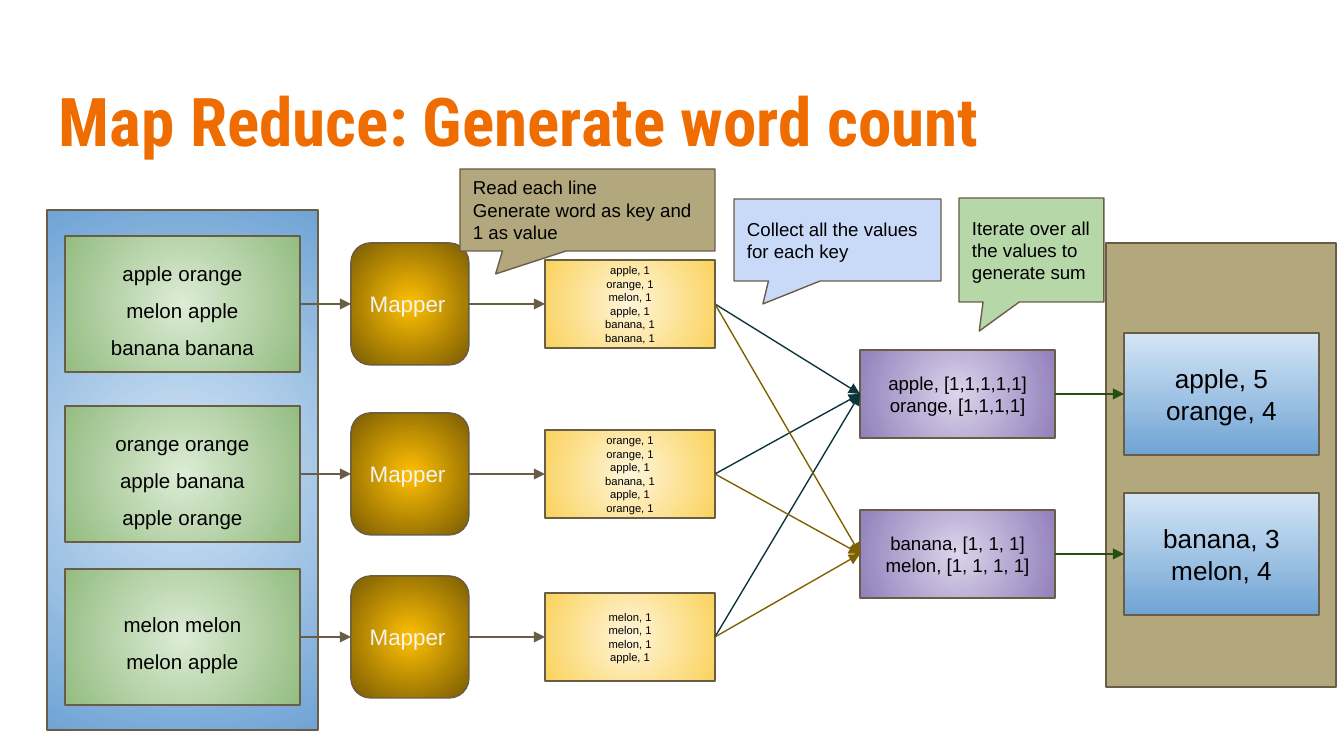
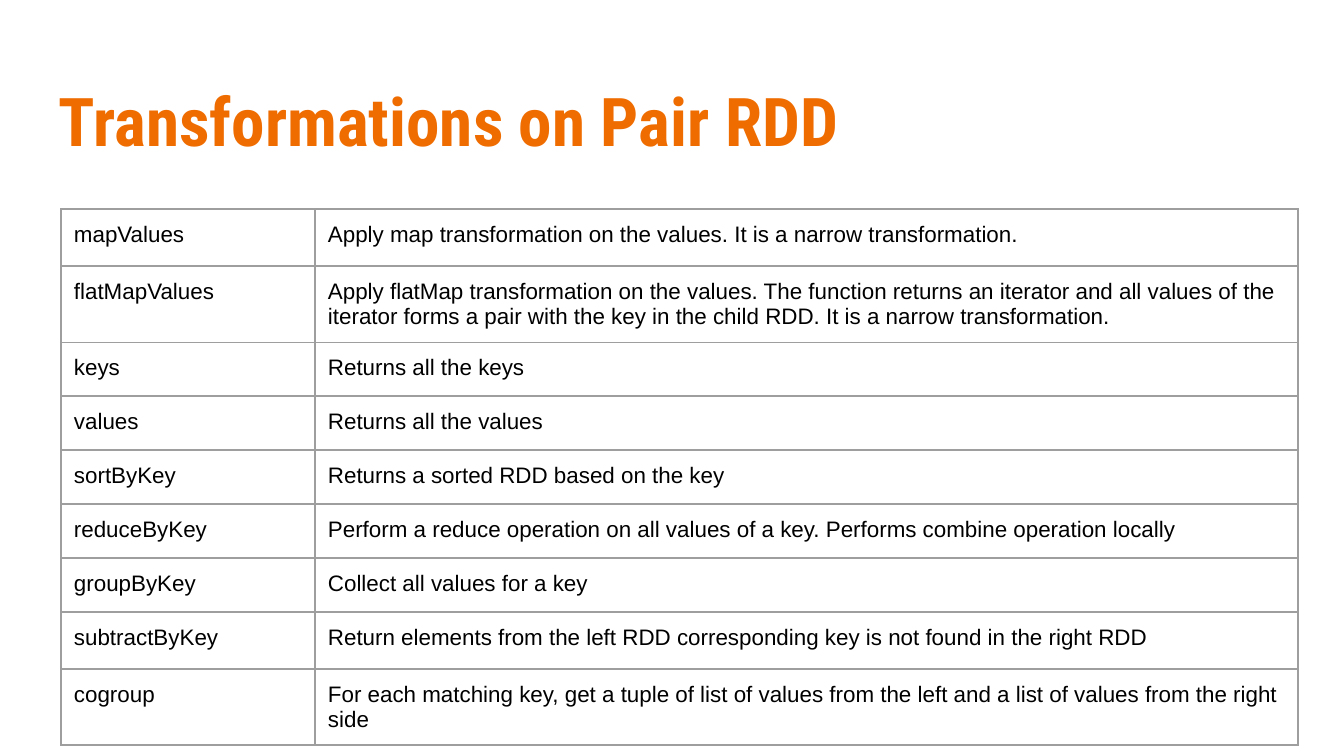
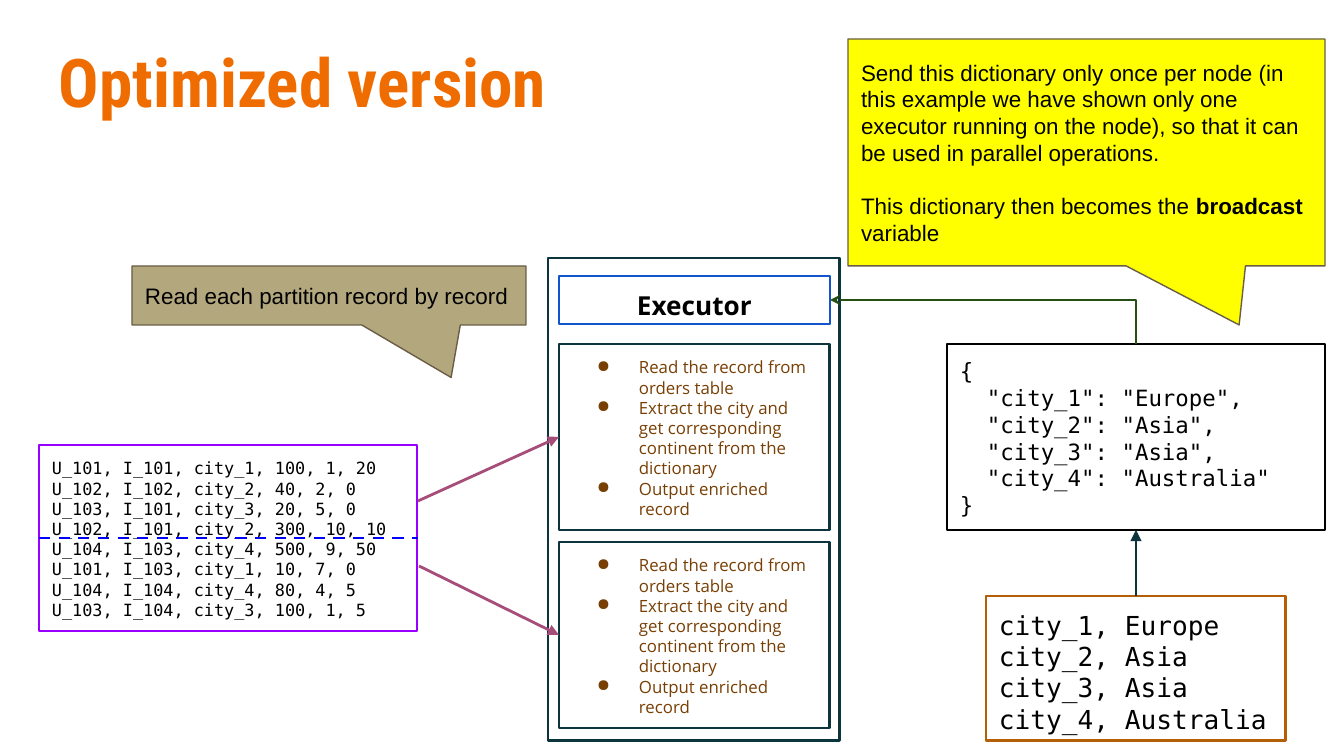
from dataclasses import dataclass, replace

from lxml import etree
from pptx import Presentation
from pptx.dml.color import RGBColor
from pptx.enum.dml import MSO_LINE
from pptx.enum.shapes import MSO_CONNECTOR, MSO_SHAPE
from pptx.enum.text import MSO_ANCHOR, MSO_AUTO_SIZE, PP_ALIGN
from pptx.oxml.ns import qn
from pptx.util import Emu, Pt

RECT = MSO_SHAPE.RECTANGLE
MAPPER = MSO_SHAPE.FLOWCHART_ALTERNATE_PROCESS
CALLOUT = MSO_SHAPE.RECTANGULAR_CALLOUT
STRAIGHT, ELBOW = MSO_CONNECTOR.STRAIGHT, MSO_CONNECTOR.ELBOW
DASH = MSO_LINE.DASH
LEFT, CENTER = PP_ALIGN.LEFT, PP_ALIGN.CENTER
TOP, MIDDLE = MSO_ANCHOR.TOP, MSO_ANCHOR.MIDDLE
NO_AUTOFIT = MSO_AUTO_SIZE.NONE
TOP_SIDE, LEFT_SIDE, BOTTOM_SIDE, RIGHT_SIDE = range(4)
TITLE_ONLY = 5
EMU_PER_PX = 914400 / 134.4
INSET = 13


@dataclass(frozen=True)
class Theme:
    orange: str = "EF6C00"
    black: str = "000000"
    pale: str = "F3F3F3"
    outline: str = "695D46"
    khaki: str = "B3A77D"
    ice: str = "C9DAF8"
    mint: str = "B6D7A8"
    yellow: str = "FFFF00"
    teal: str = "0C343D"
    olive: str = "7F6000"
    forest: str = "274E13"
    plum: str = "A64D79"
    violet: str = "9900FF"
    blue: str = "0000FF"
    royal: str = "1155CC"
    rust: str = "B45F06"
    brown: str = "783F04"
    grid: str = "9E9E9E"
    sky: tuple = ("D4E5F5", "70A4D5")
    leaf: tuple = ("DCECD5", "93BC81")
    gold: tuple = ("FFC002", "795B04")
    cream: tuple = ("FFF6DB", "FAD25C")
    lilac: tuple = ("DBD4EB", "9180BB")
    title_font: str = "Roboto Condensed"
    body_font: str = "Arial"
    code_font: str = "DejaVu Sans Mono"
    task_font: str = "Open Sans"
    title: int = 36
    large: int = 14
    body: int = 12
    line: int = 11
    note: int = 10
    small: int = 9
    tiny: int = 6
    thin: float = 0.75
    thick: float = 1.5


THEME = Theme()


@dataclass(frozen=True)
class TextStyle:
    size: int
    font: str = THEME.body_font
    color: str = THEME.black
    bold: bool = False
    align: PP_ALIGN = LEFT
    anchor: MSO_ANCHOR = MIDDLE
    spacing: float = 1.0
    gap: int = 0
    bullet: str = ""


TITLE = TextStyle(THEME.title, THEME.title_font, THEME.orange, bold=True, anchor=TOP)
NOTE = TextStyle(THEME.note)
BODY = TextStyle(THEME.body)
CODE = TextStyle(THEME.body, THEME.code_font, anchor=TOP)
TASK = TextStyle(THEME.small, THEME.task_font, THEME.brown, anchor=TOP, bullet="●")


def px(length):
    return Emu(round(length * EMU_PER_PX))


def rgb(color):
    return RGBColor.from_string(color)


def add_bullet(paragraph, style):
    properties = paragraph._p.get_or_add_pPr()
    properties.set("marL", str(px(67)))
    properties.set("indent", str(px(-42)))
    tint = etree.SubElement(properties, qn("a:buClr"))
    etree.SubElement(tint, qn("a:srgbClr"), val=style.color)
    etree.SubElement(properties, qn("a:buChar"), char=style.bullet)


def write(frame, paragraphs, style):
    for index, content in enumerate(paragraphs):
        paragraph = frame.add_paragraph() if index else frame.paragraphs[0]
        paragraph.alignment = style.align
        paragraph.line_spacing = style.spacing
        paragraph.space_before = Pt(style.gap if index else 0)
        if style.bullet:
            add_bullet(paragraph, style)
        runs = [(content, style.bold)] if isinstance(content, str) else content
        for text, bold in runs:
            run = paragraph.add_run()
            run.text = text
            run.font.name = style.font
            run.font.size = Pt(style.size)
            run.font.bold = bold
            run.font.color.rgb = rgb(style.color)


def set_frame(frame, style):
    frame.word_wrap = True
    frame.auto_size = NO_AUTOFIT
    frame.vertical_anchor = style.anchor
    frame.margin_left = frame.margin_right = px(INSET)
    frame.margin_top = frame.margin_bottom = px(INSET)


def paint(shape, fill, radial):
    if fill is None:
        shape.fill.background()
    elif isinstance(fill, str):
        shape.fill.solid()
        shape.fill.fore_color.rgb = rgb(fill)
    else:
        shape.fill.gradient()
        shape.fill.gradient_angle = 270
        for stop, color in zip(shape.fill.gradient_stops, fill):
            stop.color.rgb = rgb(color)
        if radial:
            gradient = shape.element.spPr.find(qn("a:gradFill"))
            linear = gradient.find(qn("a:lin"))
            circle = etree.Element(qn("a:path"), path="circle")
            etree.SubElement(circle, qn("a:fillToRect"), l="50000", t="50000", r="50000", b="50000")
            gradient.replace(linear, circle)


def add_box(slide, area, paragraphs=(), style=BODY, fill=None, line=THEME.outline,
            weight=THEME.thin, kind=RECT, radial=True):
    box = slide.shapes.add_shape(kind, *map(px, area))
    box.shadow.inherit = False
    paint(box, fill, radial)
    box.line.color.rgb = rgb(line)
    box.line.width = Pt(weight)
    set_frame(box.text_frame, style)
    write(box.text_frame, paragraphs, style)
    return box


def add_callout(slide, area, paragraphs, style, fill, pointer):
    callout = add_box(slide, area, paragraphs, style, fill, kind=CALLOUT)
    for index, offset in enumerate(pointer):
        callout.adjustments[index] = offset


def add_line(slide, start, end, color, weight=THEME.thin, kind=STRAIGHT,
             head=None, tail=None, dash=None):
    points = [place if isinstance(place[0], int) else (0, 0) for place in (start, end)]
    connector = slide.shapes.add_connector(kind, *(px(value) for point in points for value in point))
    if not isinstance(start[0], int):
        connector.begin_connect(*start)
    if not isinstance(end[0], int):
        connector.end_connect(*end)
    connector.line.color.rgb = rgb(color)
    connector.line.width = Pt(weight)
    if dash:
        connector.line.dash_style = dash
    properties = connector.element.spPr
    if kind == ELBOW:
        properties.find(qn("a:prstGeom")).set("prst", "bentConnector2")
    stroke = properties.find(qn("a:ln"))
    for tag, arrow in (("a:headEnd", head), ("a:tailEnd", tail)):
        if arrow:
            etree.SubElement(stroke, qn(tag), type=arrow)
    etree.SubElement(properties, qn("a:effectLst"))


def add_arrow(slide, source, target, color, weight=THEME.thin):
    add_line(slide, (source, RIGHT_SIDE), (target, LEFT_SIDE), color, weight, tail="triangle")


def add_cell_borders(cell):
    properties = cell._tc.get_or_add_tcPr()
    for index, side in enumerate(("a:lnL", "a:lnR", "a:lnT", "a:lnB")):
        border = etree.Element(qn(side), w=str(Pt(THEME.thin)))
        solid = etree.SubElement(border, qn("a:solidFill"))
        etree.SubElement(solid, qn("a:srgbClr"), val=THEME.grid)
        properties.insert(index, border)


def add_grid(slide, left, top, widths, heights, rows):
    area = (left, top, sum(widths), sum(heights))
    table = slide.shapes.add_table(len(rows), len(widths), *map(px, area)).table
    table.first_row = table.horz_banding = False
    for column, width in zip(table.columns, widths):
        column.width = px(width)
    for row, height, texts in zip(table.rows, heights, rows):
        row.height = px(height)
        for cell, text in zip(row.cells, texts):
            cell.fill.background()
            cell.margin_left = cell.margin_right = px(INSET)
            cell.margin_top = cell.margin_bottom = px(INSET)
            write(cell.text_frame, [text], BODY)
            add_cell_borders(cell)


def add_titled_slide(deck, title, top=66):
    slide = deck.slides.add_slide(deck.slide_layouts[TITLE_ONLY])
    heading = slide.shapes.title
    heading.left, heading.top, heading.width, heading.height = map(px, (46, top, 1252, 103))
    set_frame(heading.text_frame, TITLE)
    write(heading.text_frame, [title], TITLE)
    return slide


def build_word_count(deck):
    slide = add_titled_slide(deck, "Map Reduce: Generate word count")
    document = TextStyle(THEME.line, align=CENTER, spacing=1.5)
    mapper_label = TextStyle(THEME.body, color=THEME.pale)
    pair = TextStyle(THEME.tiny, align=CENTER)
    group = replace(pair, size=THEME.note)
    result = replace(pair, size=THEME.large)

    add_box(slide, (1106, 243, 230, 444), fill=THEME.khaki)
    add_box(slide, (47, 210, 271, 520), fill=THEME.sky)

    lanes = [
        (304, ["apple orange", "melon apple", "banana banana"],
         ["apple, 1", "orange, 1", "melon, 1", "apple, 1", "banana, 1", "banana, 1"]),
        (474, ["orange orange", "apple banana", "apple orange"],
         ["orange, 1", "orange, 1", "apple, 1", "banana, 1", "apple, 1", "orange, 1"]),
        (637, ["melon melon", "melon apple"],
         ["melon, 1", "melon, 1", "melon, 1", "apple, 1"]),
    ]
    pair_boxes = []
    for middle, lines, pairs in lanes:
        lines_box = add_box(slide, (65, middle - 68, 235, 136), lines, document, THEME.leaf)
        mapper = add_box(slide, (351, middle - 61, 118, 122), ["Mapper"], mapper_label,
                         THEME.gold, kind=MAPPER)
        pairs_box = add_box(slide, (545, middle - 44, 170, 88), pairs, pair, THEME.cream)
        add_arrow(slide, lines_box, mapper, THEME.outline)
        add_arrow(slide, mapper, pairs_box, THEME.outline)
        pair_boxes.append(pairs_box)

    reducers = [
        (394, ["apple, [1,1,1,1,1]", "orange, [1,1,1,1]"], ["apple, 5", "orange, 4"], THEME.teal),
        (554, ["banana, [1, 1, 1]", "melon, [1, 1, 1, 1]"], ["banana, 3", "melon, 4"], THEME.olive),
    ]
    for middle, collected, sums, color in reducers:
        group_box = add_box(slide, (860, middle - 44, 195, 88), collected, group, THEME.lilac)
        result_box = add_box(slide, (1124, middle - 61, 195, 122), sums, result, THEME.sky,
                             radial=False)
        for pairs_box in pair_boxes:
            add_arrow(slide, pairs_box, group_box, color)
        add_arrow(slide, group_box, result_box, THEME.forest, THEME.thick)

    pointer = (-0.36, 0.78)
    add_callout(slide, (460, 169, 255, 82),
                ["Read each line", "Generate word as key and 1 as value"], NOTE, THEME.khaki, pointer)
    add_callout(slide, (734, 199, 207, 82),
                ["Collect all the values for each key"], NOTE, THEME.ice, pointer)
    add_callout(slide, (959, 198, 145, 104),
                ["Iterate over all the values to generate sum"], NOTE, THEME.mint, pointer)


def build_transformations(deck):
    slide = add_titled_slide(deck, "Transformations on Pair RDD")
    transformations = [
        ("mapValues", "Apply map transformation on the values. It is a narrow transformation."),
        ("flatMapValues", "Apply flatMap transformation on the values. The function returns an "
         "iterator and all values of the iterator forms a pair with the key in the child RDD. "
         "It is a narrow transformation."),
        ("keys", "Returns all the keys"),
        ("values", "Returns all the values"),
        ("sortByKey", "Returns a sorted RDD based on the key"),
        ("reduceByKey", "Perform a reduce operation on all values of a key. "
         "Performs combine operation locally"),
        ("groupByKey", "Collect all values for a key"),
        ("subtractByKey", "Return elements from the left RDD corresponding key is not found "
         "in the right RDD"),
        ("cogroup", "For each matching key, get a tuple of list of values from the left and "
         "a list of values from the right side"),
    ]
    add_grid(slide, 61, 209, (254, 983), [57] + [54] * 6 + [57] * 2, transformations)


def build_optimized(deck):
    slide = add_titled_slide(deck, "Optimized version", top=27)
    records = [
        "U_101, I_101, city_1, 100, 1, 20",
        "U_102, I_102, city_2, 40, 2, 0",
        "U_103, I_101, city_3, 20, 5, 0",
        "U_102, I_101, city_2, 300, 10, 10",
        "U_104, I_103, city_4, 500, 9, 50",
        "U_101, I_103, city_1, 10, 7, 0",
        "U_104, I_104, city_4, 80, 4, 5",
        "U_103, I_104, city_3, 100, 1, 5",
    ]
    add_box(slide, (39, 445, 378, 186), records, replace(CODE, size=THEME.small),
            line=THEME.violet, weight=THEME.thick)
    add_line(slide, (39, 538), (418, 538), THEME.blue, THEME.thick, dash=DASH)

    add_box(slide, (548, 258, 292, 483), line=THEME.teal, weight=THEME.thick)
    executor_label = TextStyle(THEME.large, THEME.task_font, bold=True, align=CENTER, anchor=TOP)
    executor = add_box(slide, (559, 276, 271, 48), ["Executor"], executor_label, line=THEME.royal)
    steps = [
        "Read the record from orders table",
        "Extract the city and get corresponding continent from the dictionary",
        "Output enriched record",
    ]
    for top, partition in ((344, (418, 501)), (542, (419, 566))):
        task = add_box(slide, (559, top, 271, 186), steps, TASK,
                       line=THEME.teal, weight=THEME.thick)
        add_line(slide, partition, (task, LEFT_SIDE), THEME.plum, THEME.thick, tail="triangle")

    cities = add_box(
        slide, (986, 596, 300, 145),
        ["city_1, Europe", "city_2, Asia", "city_3, Asia", "city_4, Australia"],
        replace(CODE, size=THEME.large), line=THEME.rust, weight=THEME.thick)
    dictionary = add_box(
        slide, (947, 344, 378, 186),
        ["{", '  "city_1": "Europe",', '  "city_2": "Asia",', '  "city_3": "Asia",',
         '  "city_4": "Australia"', "}"],
        CODE, line=THEME.black)
    add_line(slide, (cities, TOP_SIDE), (dictionary, BOTTOM_SIDE), THEME.teal, THEME.thick,
             tail="triangle")
    add_line(slide, (executor, RIGHT_SIDE), (dictionary, TOP_SIDE), THEME.forest, THEME.thick,
             kind=ELBOW, head="stealth")

    add_callout(slide, (132, 266, 394, 59), ["Read each partition record by record"],
                BODY, THEME.khaki, (0.31, 1.39))
    add_callout(
        slide, (848, 39, 477, 227),
        ["Send this dictionary only once per node (in this example we have shown only one "
         "executor running on the node), so that it can be used in parallel operations.",
         [("This dictionary then becomes the ", False), ("broadcast", True), (" variable", False)]],
        replace(BODY, gap=14), THEME.yellow, (0.32, 0.76))


def main():
    deck = Presentation()
    deck.slide_width, deck.slide_height = px(1344), px(756)
    build_word_count(deck)
    build_transformations(deck)
    build_optimized(deck)
    deck.save("out.pptx")


if __name__ == "__main__":
    main()
